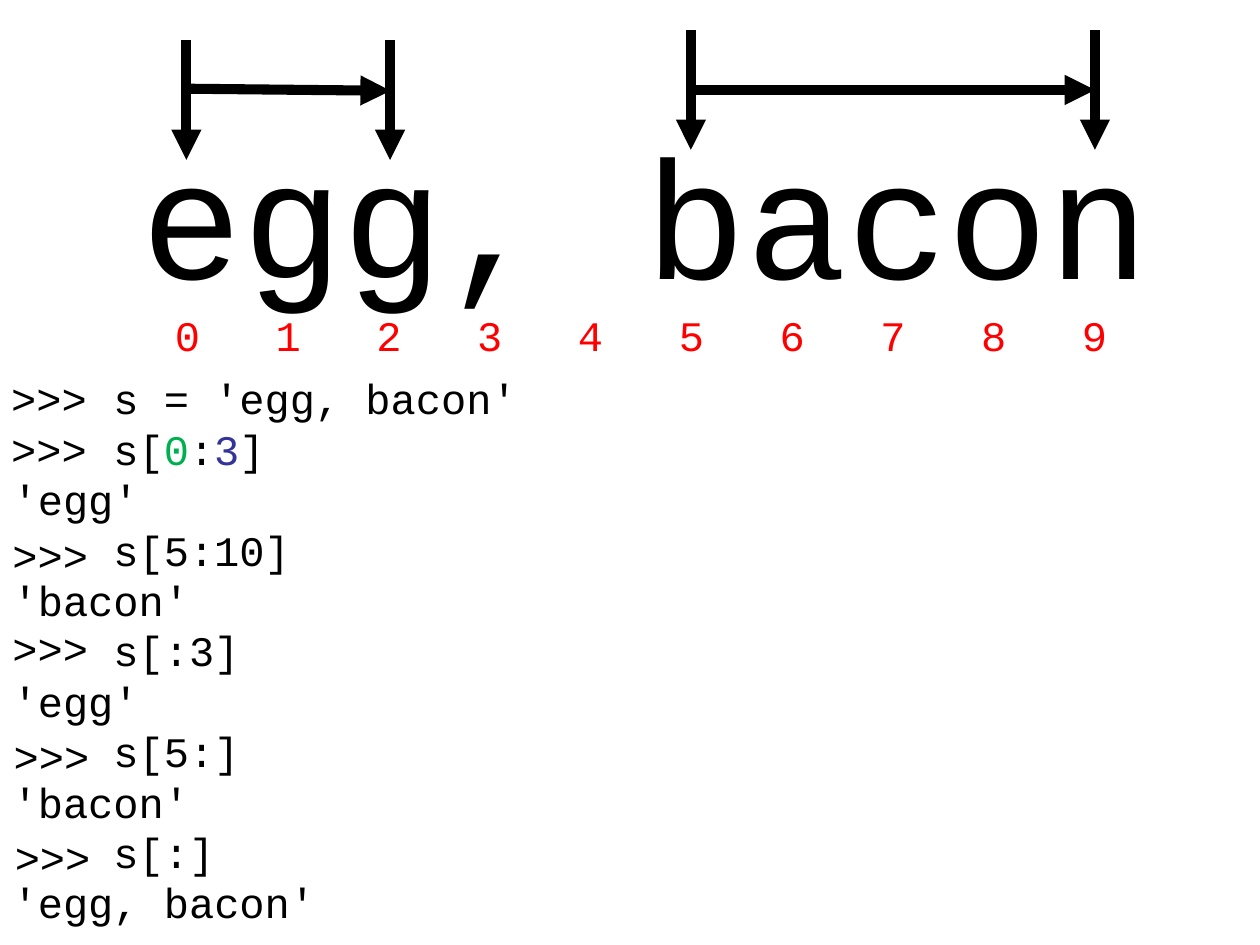
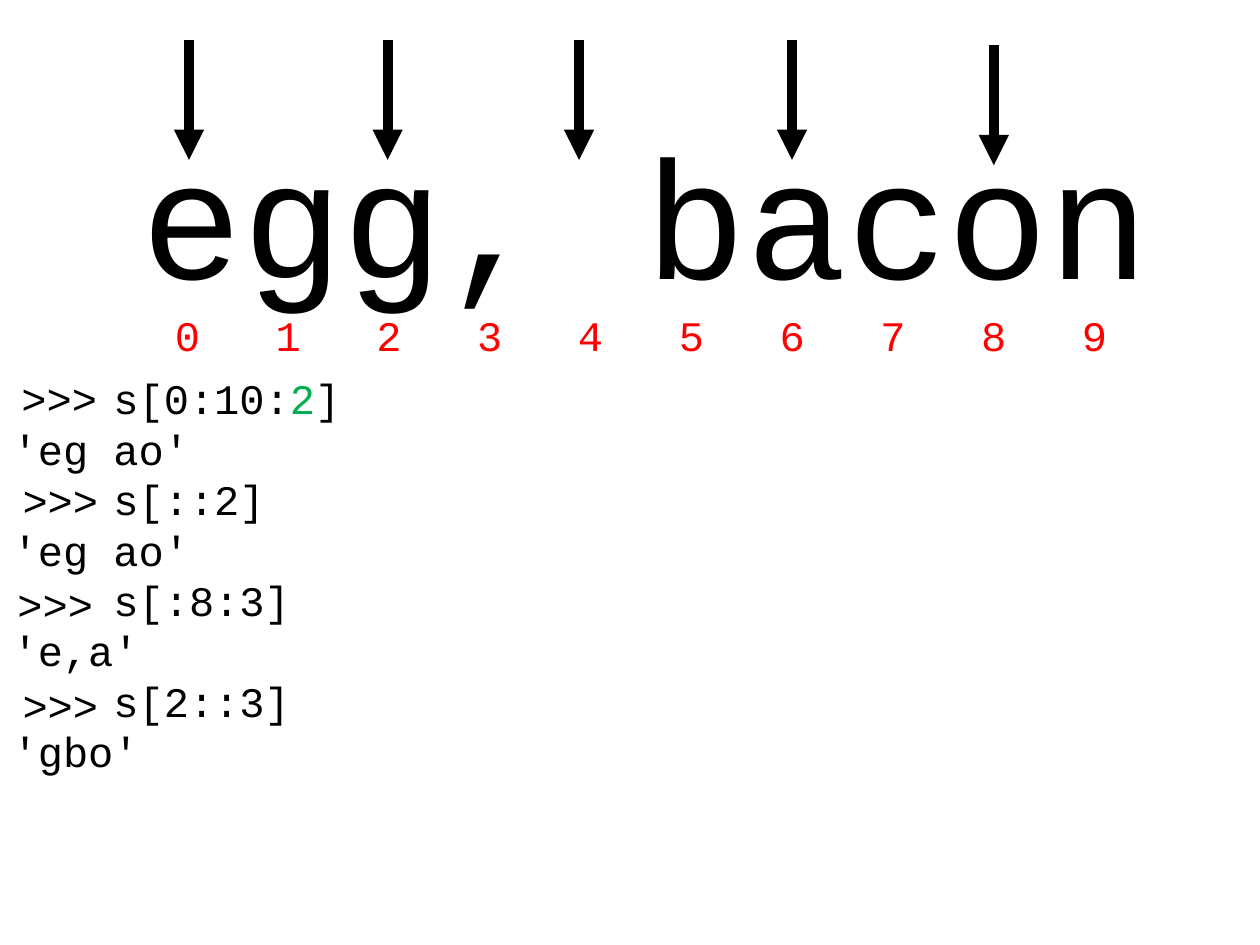
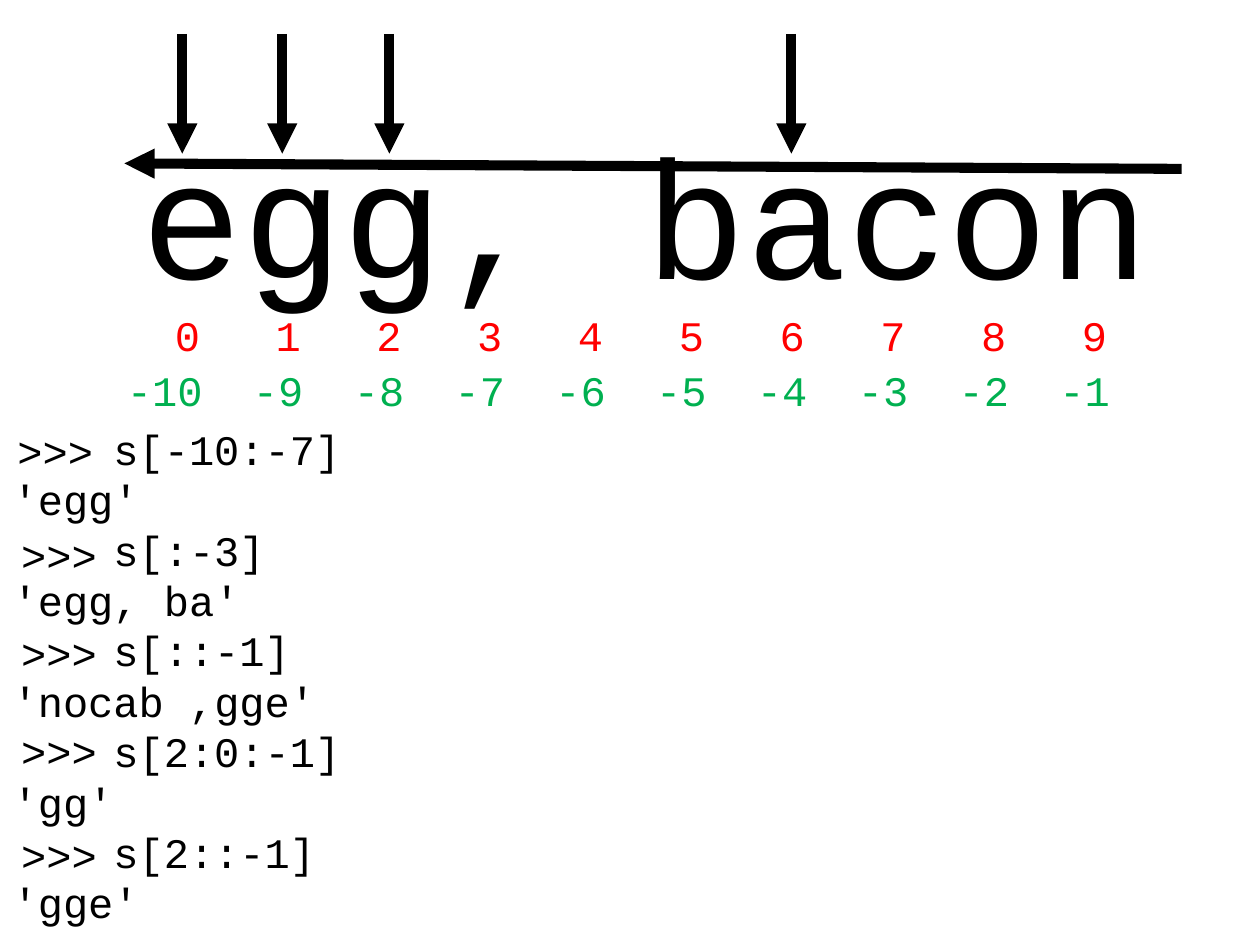
from lxml.etree import SubElement
from pptx import Presentation
from pptx.dml.color import RGBColor
from pptx.enum.shapes import MSO_CONNECTOR as Connector
from pptx.enum.text import MSO_ANCHOR as Anchor, MSO_AUTO_SIZE as AutoSize, PP_ALIGN as Align
from pptx.oxml.ns import qn
from pptx.util import Pt

BLACK, RED, GREEN, BLUE = "000000", "FF0000", "00B050", "333399"
FONT = "Courier New"
WORD = "egg, bacon"

# A code line or its result; a tuple holds (text, colour) spans.
# Prompts are (left, top), one for each line of code.
# Down arrows are (letter index, top, nudge to the side).
# Long arrows are (x1, y1, x2, y2).
SLIDES = [
    {
        "lines": ["s = 'egg, bacon'",
                  (("s[", BLACK), ("0", GREEN), (":", BLACK), ("3", BLUE), ("]", BLACK)),
                  "'egg'", "s[5:10]", "'bacon'", "s[:3]", "'egg'",
                  "s[5:]", "'bacon'", "s[:]", "'egg, bacon'"],
        "prompts": [(-0.7, 209.5), (-0.7, 238.3), (0, 298.8),
                    (0, 352.1), (0.7, 414), (1.4, 471.6)],
        "first_row": 0, "negative": False,
        "down": [(0, 23, -0.8), (2, 23, 0.4), (5, 17.2, -0.5), (9, 17.2, 0)],
        "long": [(106.5, 50.7, 223.2, 51.9), (394.8, 51.4, 625.7, 51.4)],
    },
    {
        "lines": [(("s[0:10:", BLACK), ("2", GREEN), ("]", BLACK)),
                  "'eg ao'", "s[::2]", "'eg ao'", "s[:8:3]", "'e,a'", "s[2::3]", "'gbo'"],
        "prompts": [(5.2, 209.5), (5.8, 267.8), (2.9, 326.9), (5.8, 384.5)],
        "first_row": 0, "negative": False,
        "down": [(0, 23, 0.7), (2, 23, -1), (4, 23, -6.8), (6, 23, -0.3), (8, 26, -0.2)],
        "long": [],
    },
    {
        "lines": ["s[-10:-7]", "'egg'", "s[:-3]", "'egg, ba'", "s[::-1]",
                  "'nocab ,gge'", "s[2:0:-1]", "'gg'", "s[2::-1]", "'gge'"],
        "prompts": [(2.9, 239.8), (5, 298.8), (5, 355), (5, 411.1), (5, 470.2)],
        "first_row": 1, "negative": True,
        "down": [(0, 19.4, -3.1), (1, 19.4, -3.6), (2, 19.4, 0), (6, 19.4, -0.7)],
        "long": [(675.2, 96.5, 71.1, 93.4)],
    },
]

SIZE, CHAR = 24, 14.4            # code size and the width of one character
CELL = 4 * CHAR                  # width of one letter of the word
INSET = 7.2                      # side margin inside a text box
FIRST_LETTER = 107.3             # centre of the first letter
CODE_TOP, ROW = 209.5, 28.8      # first code row and distance between rows
SMALL_WIDTH, SMALL_HEIGHT = 62.6, 36
ARROW_LENGTH, ARROW_WIDTH = 68.4, 5.75


def colour(value):
    """Turn a hex string into a colour."""
    return RGBColor.from_string(value)


def prepare(box, left, top, width, height):
    """Place a text shape and give it plain, top-anchored text."""
    box.left, box.top, box.width, box.height = map(Pt, (left, top, width, height))
    frame = box.text_frame
    frame.word_wrap = True
    frame.auto_size = AutoSize.NONE
    frame.vertical_anchor = Anchor.TOP
    return frame


def write(para, content, size=SIZE, shade=BLACK, indent=0):
    """Fill a paragraph with a string or coloured spans, without a bullet."""
    spans = ((content, shade),) if isinstance(content, str) else content
    for text, tint in spans:
        span = para.add_run()
        span.text = text
        span.font.color.rgb = colour(tint)
    para.font.size, para.font.name = Pt(size), FONT
    para.alignment = Align.LEFT
    para.space_before = para.space_after = Pt(0)
    para.line_spacing = 1.0
    properties = para._p.get_or_add_pPr()
    properties.set("marL", str(Pt(indent)))
    properties.set("indent", "0")
    SubElement(properties, qn("a:buNone"))


def add_small_text(page, text, left, top, shade=BLACK):
    """Add a short text: a prompt or an index number."""
    box = page.shapes.add_textbox(0, 0, 0, 0)
    frame = prepare(box, left, top, SMALL_WIDTH, SMALL_HEIGHT)
    write(frame.paragraphs[0], text, shade=shade)


def add_indexes(page, numbers, first_end, top, shade):
    """Add a row of numbers, each ending at the same place under its letter."""
    for position, number in enumerate(map(str, numbers)):
        start = first_end + position * CELL - len(number) * CHAR
        add_small_text(page, number, start - INSET, top, shade)


def add_arrow(page, x1, y1, x2, y2):
    """Add a thick black arrow without a shadow."""
    arrow = page.shapes.add_connector(Connector.STRAIGHT, *map(Pt, (x1, y1, x2, y2)))
    arrow.line.width = Pt(ARROW_WIDTH)
    arrow.line.color.rgb = colour(BLACK)
    properties = arrow._element.spPr
    SubElement(properties.find(qn("a:ln")), qn("a:tailEnd"), type="triangle")
    SubElement(properties, qn("a:effectLst"))


def add_code(page, lines, first_row):
    """Write the session, leaving room for a prompt before each code line."""
    top = CODE_TOP + first_row * ROW
    frame = prepare(page.placeholders[1], 0, top, 672.5, len(lines) * ROW + INSET)
    for row, line in enumerate(lines):
        para = frame.add_paragraph() if row else frame.paragraphs[0]
        is_result = isinstance(line, str) and line.startswith("'")
        write(para, line, indent=0 if is_result else CELL)


def add_slide(deck, content):
    """Build one slide: word, index rows, session and arrows."""
    page = deck.slides.add_slide(deck.slide_layouts[1])
    title = prepare(page.shapes.title, 73.6, 60.1, 615.6, 123.8)
    write(title.paragraphs[0], WORD, size=96)
    count = len(WORD)
    add_indexes(page, range(count), 114.4, 173.5, RED)
    if content["negative"]:
        add_indexes(page, range(-count, 0), 115.9, 204.5, GREEN)
    add_code(page, content["lines"], content["first_row"])
    for left, top in content["prompts"]:
        add_small_text(page, ">>>", left, top)
    for index, top, nudge in content["down"]:
        x = FIRST_LETTER + index * CELL + nudge
        add_arrow(page, x, top, x, top + ARROW_LENGTH)
    for ends in content["long"]:
        add_arrow(page, *ends)


deck = Presentation()
deck.slide_width, deck.slide_height = Pt(720), Pt(540)
for slide_content in SLIDES:
    add_slide(deck, slide_content)
deck.save("out.pptx")
